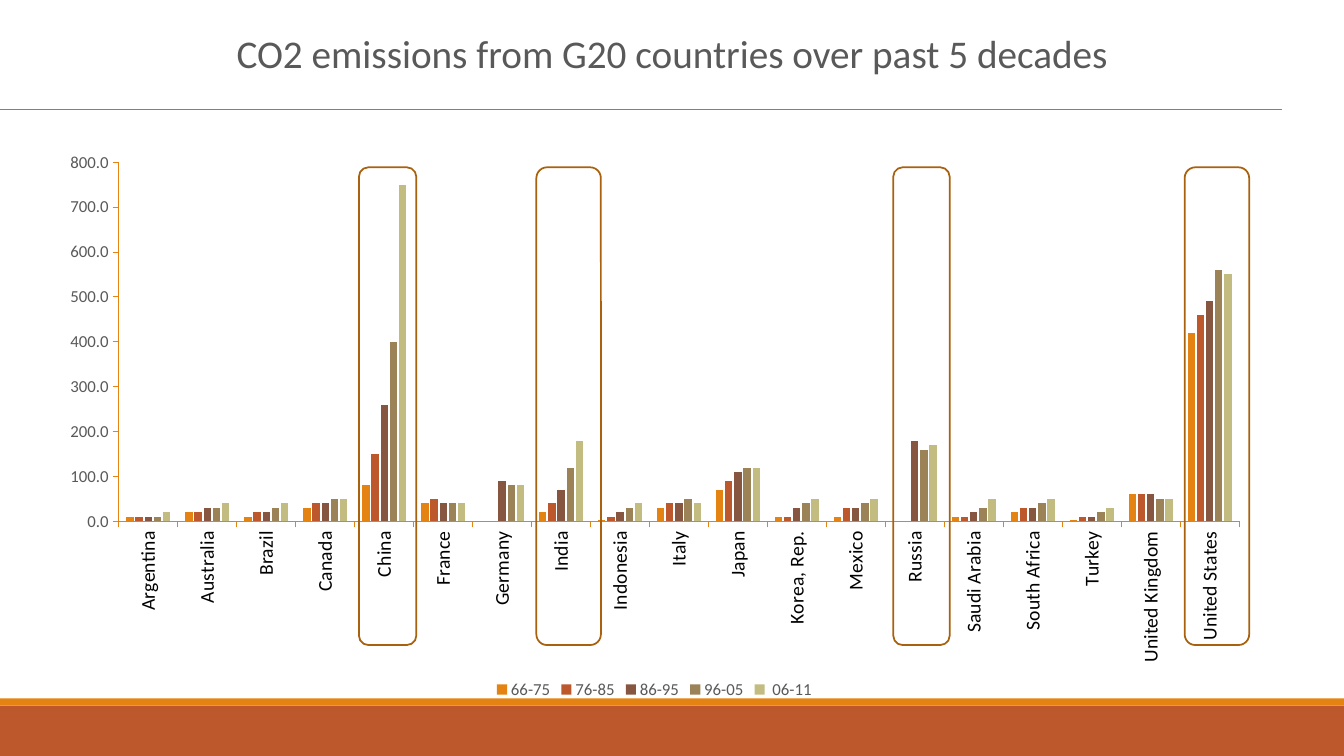
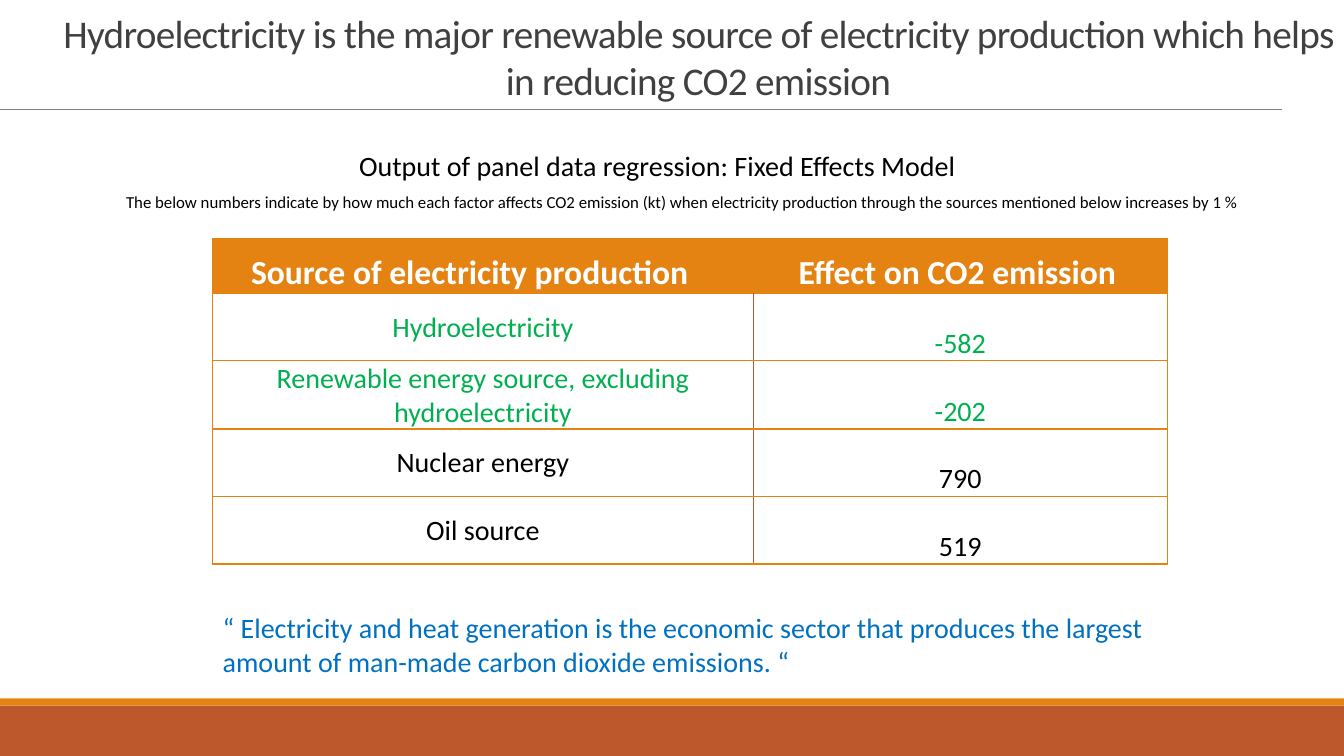
from lxml import etree
from pptx import Presentation
from pptx.chart.data import CategoryChartData
from pptx.dml.color import RGBColor
from pptx.enum.chart import XL_CHART_TYPE, XL_LEGEND_POSITION, XL_TICK_MARK
from pptx.enum.shapes import MSO_CONNECTOR, MSO_SHAPE
from pptx.enum.text import MSO_ANCHOR, MSO_AUTO_SIZE, PP_ALIGN
from pptx.oxml.ns import qn
from pptx.util import Inches, Pt

FONT = "Calibri"
COLORS = {
    "orange": "E48312", "rust": "BD582C", "brown": "865640",
    "tan": "9B8357", "sand": "C2BC80", "outline": "A9610D",
    "rule": "808080", "grey": "595959", "dark": "404040",
    "black": "000000", "white": "FFFFFF", "green": "00B050", "blue": "0070C0",
}
CENTER, LEFT = PP_ALIGN.CENTER, PP_ALIGN.LEFT
MIDDLE, BOTTOM = MSO_ANCHOR.MIDDLE, MSO_ANCHOR.BOTTOM
RECT, ROUNDED = MSO_SHAPE.RECTANGLE, MSO_SHAPE.ROUNDED_RECTANGLE
STRAIGHT = MSO_CONNECTOR.STRAIGHT
GROW = MSO_AUTO_SIZE.SHAPE_TO_FIT_TEXT
COLUMNS = XL_CHART_TYPE.COLUMN_CLUSTERED
LEGEND_BOTTOM = XL_LEGEND_POSITION.BOTTOM
TICK_OUT = XL_TICK_MARK.OUTSIDE

COUNTRIES = [
    "Argentina", "Australia", "Brazil", "Canada", "China", "France", "Germany",
    "India", "Indonesia", "Italy", "Japan", "Korea, Rep.", "Mexico", "Russia",
    "Saudi Arabia", "South Africa", "Turkey", "United Kingdom", "United States",
]
EMISSIONS = [
    ("66-75", "orange", [10, 20, 10, 30, 80, 40, None, 20, 4, 30, 70, 10, 10,
                         None, 10, 20, 4, 60, 420]),
    ("76-85", "rust", [10, 20, 20, 40, 150, 50, None, 40, 10, 40, 90, 10, 30,
                       None, 10, 30, 10, 60, 460]),
    ("86-95", "brown", [10, 30, 20, 40, 260, 40, 90, 70, 20, 40, 110, 30, 30,
                        180, 20, 30, 10, 60, 490]),
    ("96-05", "tan", [10, 30, 30, 50, 400, 40, 80, 120, 30, 50, 120, 40, 40,
                      160, 30, 40, 20, 50, 560]),
    (" 06-11", "sand", [20, 40, 40, 50, 750, 40, 80, 180, 40, 40, 120, 50, 50,
                        170, 50, 50, 30, 50, 550]),
]
HIGHLIGHTS = [(3.56, 0.57), (5.32, 0.64), (8.86, 0.56), (11.75, 0.64)]
EFFECTS = [
    ("Hydroelectricity", "-582", "green"),
    ("Renewable energy source, excluding hydroelectricity", "-202", "green"),
    ("Nuclear energy", "790", "black"),
    ("Oil source", "519", "black"),
]


def rgb(name):
    return RGBColor.from_string(COLORS[name])


def box(left, top, width, height):
    return [Inches(v) for v in (left, top, width, height)]


def set_font(font, size, color, bold=False):
    font.name, font.size, font.bold = FONT, Pt(size), bold
    font.color.rgb = rgb(color)


def set_line(line, color, width):
    line.color.rgb = rgb(color)
    line.width = Pt(width)


def add_shape(slide, kind, at, fill=None, line=None):
    sp = slide.shapes.add_shape(kind, *box(*at))
    sp.shadow.inherit = False
    if fill:
        sp.fill.solid()
        sp.fill.fore_color.rgb = rgb(fill)
    else:
        sp.fill.background()
    if line:
        set_line(sp.line, line, 1.25)
    else:
        sp.line.fill.background()
    return sp


def add_text(slide, at, lines, align=LEFT):
    """Add a text box; each line is (text, size, colour)."""
    tb = slide.shapes.add_textbox(*box(*at))
    tf = tb.text_frame
    tf.word_wrap = True
    tf.auto_size = GROW
    for i, (text, size, color) in enumerate(lines):
        p = tf.add_paragraph() if i else tf.paragraphs[0]
        p.text = text
        p.alignment = align
        set_font(p.font, size, color)
    return tf


def add_title(slide, text, at, color, tracking=0):
    """Add the title and the rule below it; tracking is in 1/100 pt."""
    p = add_text(slide, at, [(text, 28, color)], CENTER).paragraphs[0]
    if tracking:
        p.runs[0].font.element.set("spc", str(tracking)) if hasattr(
            p.runs[0].font, "element") else p.runs[0]._r.get_or_add_rPr().set(
            "spc", str(tracking))
    rule = slide.shapes.add_connector(
        STRAIGHT, Inches(-0.02), Inches(1.09), Inches(12.72), Inches(1.09))
    set_line(rule.line, "rule", 0.5)
    etree.SubElement(rule.element.spPr, qn("a:effectLst"))


def add_layout_bands(slide):
    """Draw the bottom bands and move them to the layout that all slides share."""
    for top, height, color in [(7, 0.5, "rust"), (6.93, 0.07, "orange")]:
        band = add_shape(slide, RECT, (0, top, 13.33, height), color)
        slide.slide_layout.shapes.element.append(band.element)


def place_plot(chart, x, y, w, h):
    """Fix the inner plot area, in fractions of the chart."""
    plot_area = chart.element.xpath(".//c:plotArea")[0]
    for old in plot_area.findall(qn("c:layout")):
        plot_area.remove(old)
    layout = etree.Element(qn("c:layout"))
    manual = etree.SubElement(layout, qn("c:manualLayout"))
    for tag, value in [("layoutTarget", "inner"), ("xMode", "edge"), ("yMode", "edge"),
                       ("x", x), ("y", y), ("w", w), ("h", h)]:
        etree.SubElement(manual, qn(f"c:{tag}")).set("val", str(value))
    plot_area.insert(0, layout)


def style_axis(axis, size, color):
    axis.has_major_gridlines = False
    axis.major_tick_mark = TICK_OUT
    set_line(axis.format.line, "orange", 0.75)
    set_font(axis.tick_labels.font, size, color)


def add_emissions_chart(slide):
    data = CategoryChartData()
    data.categories = COUNTRIES
    for name, _, values in EMISSIONS:
        data.add_series(name, values)
    chart = slide.shapes.add_chart(COLUMNS, *box(0.52, 1, 11.94, 5.98), data).chart
    set_font(chart.font, 10, "black")
    chart.has_title = False
    chart.has_legend = True
    chart.legend.position = LEGEND_BOTTOM
    chart.legend.include_in_layout = False
    set_font(chart.legend.font, 12, "grey")

    plot = chart.plots[0]
    plot.gap_width, plot.overlap = 219, -27
    plot.vary_by_categories = False
    for series, (_, color, _) in zip(plot.series, EMISSIONS):
        series.format.fill.solid()
        series.format.fill.fore_color.rgb = rgb(color)

    style_axis(chart.category_axis, 14, "black")
    chart.element.xpath(".//c:catAx/c:txPr/a:bodyPr")[0].set("rot", "-5400000")
    axis = chart.value_axis
    style_axis(axis, 12, "grey")
    axis.minimum_scale, axis.maximum_scale, axis.major_unit = 0, 800, 100
    axis.tick_labels.number_format = "0.0"
    axis.tick_labels.number_format_is_linked = False
    place_plot(chart, 0.055, 0.102, 0.931, 0.596)


def set_borders(cell, **sides):
    """Give 1 pt borders; sides are L, R, T and B, in schema order."""
    props = cell._tc.get_or_add_tcPr()
    for i, (side, color) in enumerate(sides.items()):
        ln = etree.Element(qn(f"a:ln{side}"), w=str(Pt(1)))
        fill = etree.SubElement(ln, qn("a:solidFill"))
        etree.SubElement(fill, qn("a:srgbClr"), val=COLORS[color])
        props.insert(i, ln)


def fill_cell(cell, text, size, color, align, anchor, indent=0.01):
    cell.margin_left = Inches(indent)
    cell.margin_right = cell.margin_top = Inches(0.01)
    cell.margin_bottom = 0
    cell.vertical_anchor = anchor
    p = cell.text_frame.paragraphs[0]
    p.text = text
    p.alignment = align
    set_font(p.font, size, color, bold=size == 24)


def add_effects_table(slide):
    table = slide.shapes.add_table(
        len(EFFECTS) + 1, 2, *box(2.11, 2.37, 9.47, 3.22)).table
    table.first_row = table.horz_banding = False
    for column, width in zip(table.columns, (5.36, 4.11)):
        column.width = Inches(width)
    for i, row in enumerate(table.rows):
        row.height = Inches(0.67 if i else 0.54)

    headers = [("Source of electricity production", 0.38),
               ("Effect on CO2 emission", 0.45)]
    for cell, (text, indent) in zip(table.rows[0].cells, headers):
        fill_cell(cell, text, 24, "white", LEFT, BOTTOM, indent)
        cell.fill.solid()
        cell.fill.fore_color.rgb = rgb("orange")
        set_borders(cell, L="orange", R="orange", T="orange", B="orange")
    for i, (source, effect, color) in enumerate(EFFECTS, 1):
        left, right = table.cell(i, 0), table.cell(i, 1)
        fill_cell(left, source, 20, color, CENTER, MIDDLE)
        fill_cell(right, effect, 20, color, CENTER, BOTTOM)
        for cell in (left, right):
            cell.fill.background()
        set_borders(left, L="orange", R="rust", T="orange", B="orange")
        set_borders(right, L="rust", R="orange", T="orange", B="orange")


def build_emissions(slide):
    add_emissions_chart(slide)
    add_title(slide, "CO2 emissions from G20 countries over past 5 decades",
              (0.27, 0.24, 12.79, 0.57), "grey")
    for left, width in HIGHLIGHTS:
        add_shape(slide, ROUNDED, (left, 1.66, width, 4.74), line="outline")


def build_regression(slide):
    add_title(slide, "Hydroelectricity is the major renewable source of electricity "
              "production which helps in reducing CO2 emission",
              (0.53, 0.04, 12.79, 1.04), "dark", tracking=-50)
    add_text(slide, (2.11, 6.01, 9.97, 0.77), [
        ("“ Electricity and heat generation is the economic sector that produces the "
         "largest amount of man-made carbon dioxide emissions. “", 20, "blue")])
    add_effects_table(slide)
    tf = add_text(slide, (0.16, 1.42, 12.72, 0.77), [
        ("Output of panel data regression: Fixed Effects Model", 20, "black"),
        ("The below numbers indicate by how much each factor affects CO2 emission (kt) "
         "when electricity production through the sources mentioned below increases "
         "by 1 %", 12, "black")], CENTER)
    note = tf.paragraphs[1]
    note.space_before = Pt(7.5)
    note._p.get_or_add_pPr().set("marL", str(Inches(0.5)))


def main():
    prs = Presentation()
    prs.slide_width, prs.slide_height = Inches(13.33), Inches(7.5)
    blank = prs.slide_layouts[6]
    emissions, regression = (prs.slides.add_slide(blank) for _ in range(2))
    add_layout_bands(emissions)
    build_emissions(emissions)
    build_regression(regression)
    prs.save("out.pptx")


if __name__ == "__main__":
    main()
